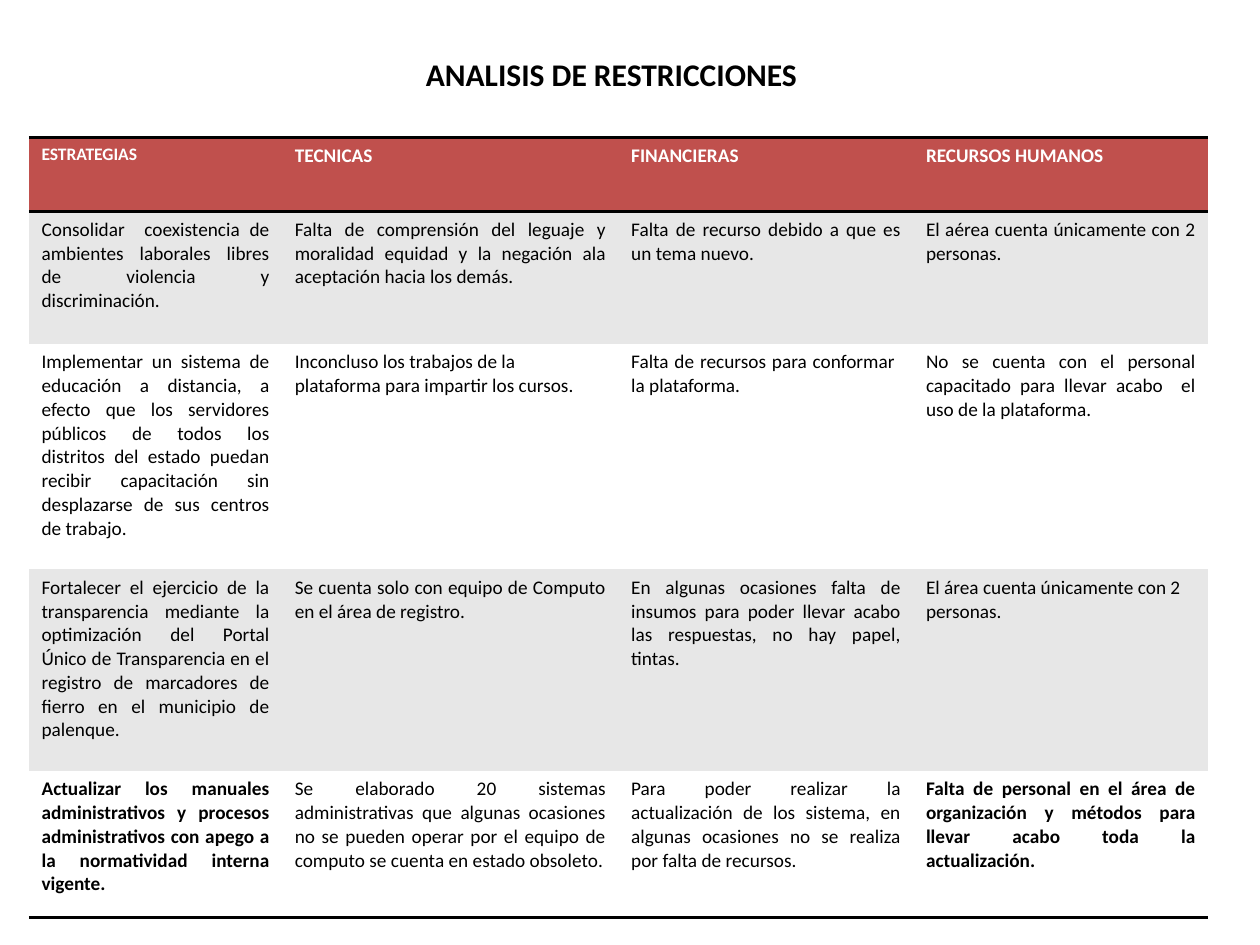
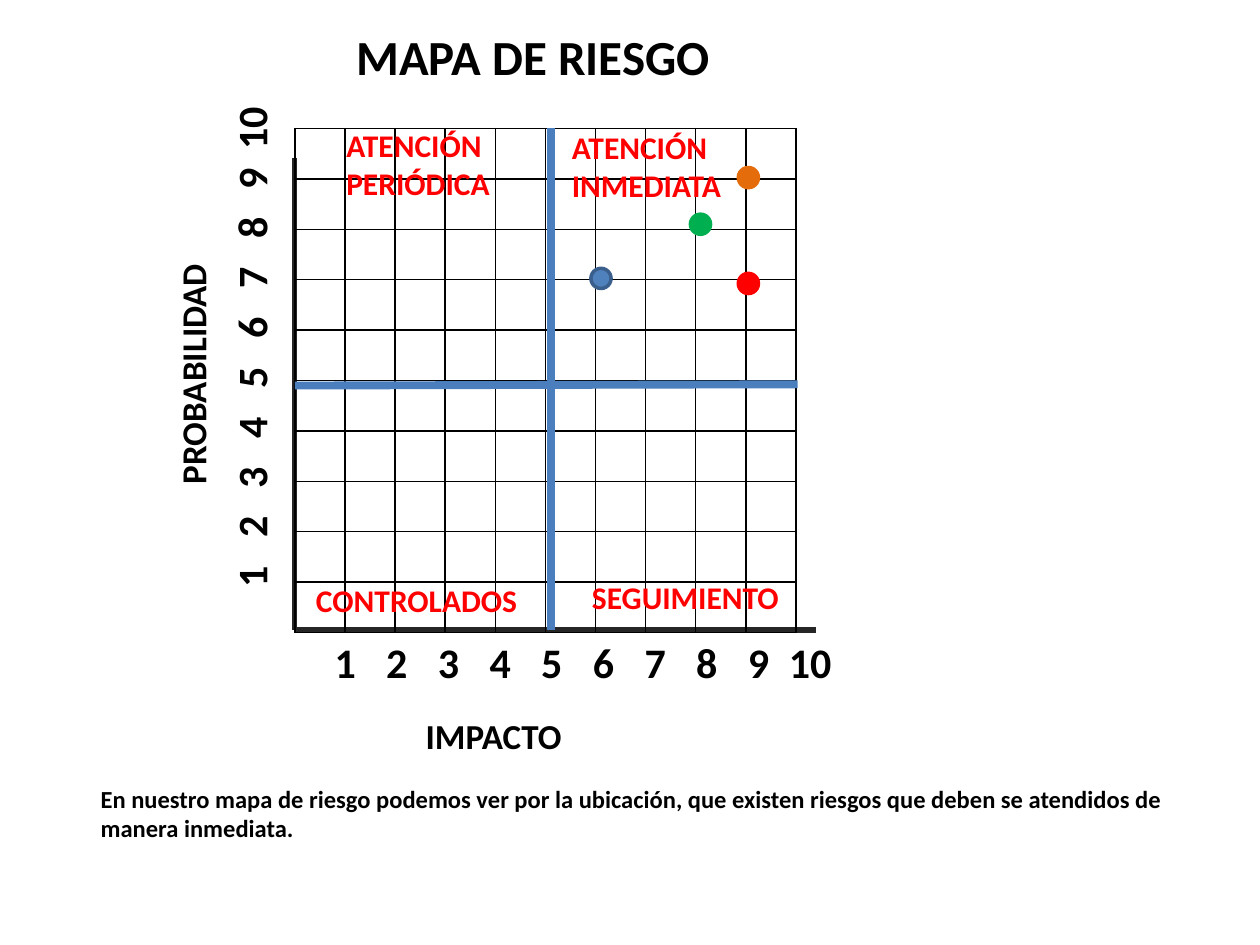
from lxml import etree
from pptx import Presentation
from pptx.dml.color import RGBColor as RGB
from pptx.enum.shapes import MSO_CONNECTOR as LINE, MSO_SHAPE as SHAPE
from pptx.enum.text import MSO_ANCHOR as ANCHOR, MSO_AUTO_SIZE as FIT, PP_ALIGN as ALIGN
from pptx.oxml.ns import qn
from pptx.util import Inches, Pt

FONT = "Calibri"
BLACK, WHITE, RED, GRAY = "000000", "FFFFFF", "FF0000", "E7E7E7"
BRICK, AXIS, BLUE = "C0504D", "262626", "4B7EBC"
PLAIN = "{2D5ABB26-0587-4C30-8999-92F81FD0307C}"  # table style without fill or grid

HEADS = ["ESTRATEGIAS", "TECNICAS", "FINANCIERAS", "RECURSOS HUMANOS"]
LIMITS = [
    ["Consolidar  coexistencia de ambientes laborales libres de violencia y discriminación.",
     "Falta de comprensión del leguaje y moralidad equidad y la negación ala aceptación "
     "hacia los demás.",
     "Falta de recurso debido a que es un tema nuevo.",
     "El aérea cuenta únicamente con 2 personas."],
    ["Implementar un sistema de educación a distancia, a efecto que los servidores públicos "
     "de todos los distritos del estado puedan recibir capacitación sin desplazarse de sus "
     "centros de trabajo.",
     "Inconcluso los trabajos de la  plataforma para impartir los cursos.",
     "Falta de recursos para conformar  la plataforma.",
     "No se cuenta con el personal capacitado para llevar acabo  el uso de la plataforma."],
    ["Fortalecer el ejercicio de la transparencia mediante la optimización del Portal Único "
     "de Transparencia en el registro de marcadores de fierro en el municipio de palenque.",
     "Se cuenta solo con equipo de Computo en el área de registro.",
     "En algunas ocasiones falta de insumos para poder llevar acabo las respuestas, no hay "
     "papel, tintas.",
     "El área cuenta únicamente con 2 personas."],
    ["Actualizar los manuales administrativos y procesos administrativos con apego a la "
     "normatividad interna vigente.",
     "Se elaborado 20 sistemas administrativas que algunas ocasiones no se pueden operar "
     "por el equipo de computo se cuenta en estado obsoleto.",
     "Para poder realizar la actualización de los sistema, en algunas ocasiones no se "
     "realiza por falta de recursos.",
     "Falta de personal en el área de organización y métodos para llevar acabo toda la "
     "actualización."],
]
LEFT_CELLS = {(2, 1), (3, 3)}  # body cells that are not justified
BOLD_CELLS = {(4, 0), (4, 3)}

ZONES = [  # text, left, top
    ("ATENCIÓN\nPERIÓDICA", 2.65, 0.95),
    ("ATENCIÓN\nINMEDIATA", 4.44, 0.97),
    ("CONTROLADOS", 2.41, 4.56),
    ("SEGUIMIENTO", 4.6, 4.54),
]
RISKS = [  # left, top, fill, line
    (4.69, 2.13, "4F81BD", "3A5F8C"),
    (5.86, 2.17, RED, RED),
    (5.48, 1.7, "00B050", "00B050"),
    (5.86, 1.33, "E46C0A", "E46C0A"),
]


def paint(color):
    return RGB.from_string(color)


def write(frame, text, size=18, color=BLACK, bold=True, align=ALIGN.LEFT):
    """Fill a text frame, one paragraph a line."""
    frame.word_wrap = True
    for i, line in enumerate(text.split("\n")):
        para = frame.add_paragraph() if i else frame.paragraphs[0]
        para.alignment = align
        run = para.add_run()
        run.text = line
        font = run.font
        font.name, font.size, font.bold = FONT, Pt(size), bold
        font.color.rgb = paint(color)


def add_title(slide, text, left, top, width, height, size):
    title = slide.shapes.title
    title.left, title.top = Inches(left), Inches(top)
    title.width, title.height = Inches(width), Inches(height)
    frame = title.text_frame
    frame.auto_size, frame.vertical_anchor = FIT.NONE, ANCHOR.TOP
    write(frame, text, size=size)


def add_label(slide, text, left, top, width, height, turn=0, **look):
    box = slide.shapes.add_textbox(*map(Inches, (left, top, width, height)))
    box.rotation = turn
    write(box.text_frame, text, **look)


def add_line(slide, start, end, color, width):
    line = slide.shapes.add_connector(LINE.STRAIGHT, *map(Inches, start + end))
    line.line.color.rgb = paint(color)
    line.line.width = Pt(width)
    etree.SubElement(line._element.spPr, qn("a:effectLst"))


def add_dot(slide, left, top, fill, edge):
    dot = slide.shapes.add_shape(SHAPE.OVAL, *map(Inches, (left, top, 0.16, 0.16)))
    dot.shadow.inherit = False
    dot.fill.solid()
    dot.fill.fore_color.rgb = paint(fill)
    dot.line.color.rgb = paint(edge)
    dot.line.width = Pt(2)


def add_grid(slide, left, top, cols, rows):
    """Add a plain table with the given column widths and row heights."""
    shape = slide.shapes.add_table(len(rows), len(cols), *map(
        Inches, (left, top, sum(cols), sum(rows))))
    table = shape.table
    table.first_row = table.horz_banding = False
    table._tbl.tblPr.find(qn("a:tableStyleId")).text = PLAIN
    for col, width in zip(table.columns, cols):
        col.width = Inches(width)
    for row, height in zip(table.rows, rows):
        row.height = Inches(height)
    return table


def add_edges(cell, sides, width):
    """Draw black borders; sides holds letters of LRTB in that order."""
    props = cell._tc.get_or_add_tcPr()
    for side in sides:
        edge = etree.SubElement(props, qn(f"a:ln{side}"), w=str(Pt(width)))
        fill = etree.SubElement(edge, qn("a:solidFill"))
        etree.SubElement(fill, qn("a:srgbClr"), val=BLACK)


def add_limits(slide):
    table = add_grid(slide, 0.23, 1.09, [2.01, 2.67, 2.34, 2.34],
                     [0.59, 1.05, 1.79, 1.6, 1.16])
    for r, texts in enumerate([HEADS] + LIMITS):
        for c, text in enumerate(texts):
            cell = table.cell(r, c)
            add_edges(cell, {0: "TB", 4: "B"}.get(r, ""), 2)
            cell.fill.solid()
            if r == 0:
                cell.fill.fore_color.rgb = paint(BRICK)
                write(cell.text_frame, text, size=11 if c else 10, color=WHITE)
            else:
                cell.fill.fore_color.rgb = paint(GRAY if r % 2 else WHITE)
                write(cell.text_frame, text, size=11, bold=(r, c) in BOLD_CELLS,
                      align=ALIGN.LEFT if (r, c) in LEFT_CELLS else ALIGN.JUSTIFY)


def add_map(slide):
    # Axes and their names
    add_line(slide, (2.34, 1.25), (2.34, 5), AXIS, 3)
    add_line(slide, (2.34, 5), (6.48, 5), AXIS, 3)
    add_label(slide, "PROBABILIDAD", 0.52, 2.71, 2.02, 0.44, turn=270, size=20)
    add_label(slide, "IMPACTO", 3.28, 5.62, 1.64, 0.44, size=20)

    # Scale from 1 to 10 on both axes
    wide, high = 0.6, 0.5
    for n in range(10):
        mid_x, mid_y = 2.74 + 0.41 * n, 4.58 - 3.56 / 9 * n
        look = dict(size=24, align=ALIGN.CENTER)
        add_label(slide, str(n + 1), mid_x - wide / 2, 5, wide, high, **look)
        add_label(slide, str(n + 1), 1.99 - wide / 2, mid_y - high / 2, wide, high,
                  turn=270, **look)

    # Squares
    table = add_grid(slide, 2.34, 1.02, [3.98 / 10] * 10, [0.4] * 10)
    for cell in table.iter_cells():
        cell.margin_top = cell.margin_bottom = 0
        add_edges(cell, "LRTB", 1)
        cell.fill.background()

    # Risks, quadrant lines and quadrant names
    for risk in RISKS:
        add_dot(slide, *risk)
    add_line(slide, (4.37, 1.02), (4.37, 5), BLUE, 4.5)
    add_line(slide, (6.33, 3.05), (2.34, 3.06), BLUE, 4.5)
    for text, left, top in ZONES:
        add_label(slide, text, left, top, 2, 0.4 + 0.31 * text.count("\n"), color=RED)


def main():
    deck = Presentation()
    deck.slide_width, deck.slide_height = Inches(10), Inches(7.5)
    layout = deck.slide_layouts.get_by_name("Title Only")

    # Restrictions table
    slide = deck.slides.add_slide(layout)
    add_title(slide, "ANALISIS DE RESTRICCIONES", 3.28, 0.39, 3.5, 0.4, 18)
    add_limits(slide)

    # Risk map
    slide = deck.slides.add_slide(layout)
    add_title(slide, "MAPA DE RIESGO", 2.73, 0.16, 3.4, 0.57, 28)
    add_map(slide)
    add_label(slide, "En nuestro mapa de riesgo podemos ver por la ubicación, que existen "
              "riesgos que deben se atendidos de manera inmediata.",
              0.7, 6.17, 8.91, 0.57, size=14)

    deck.save("out.pptx")


if __name__ == "__main__":
    main()
